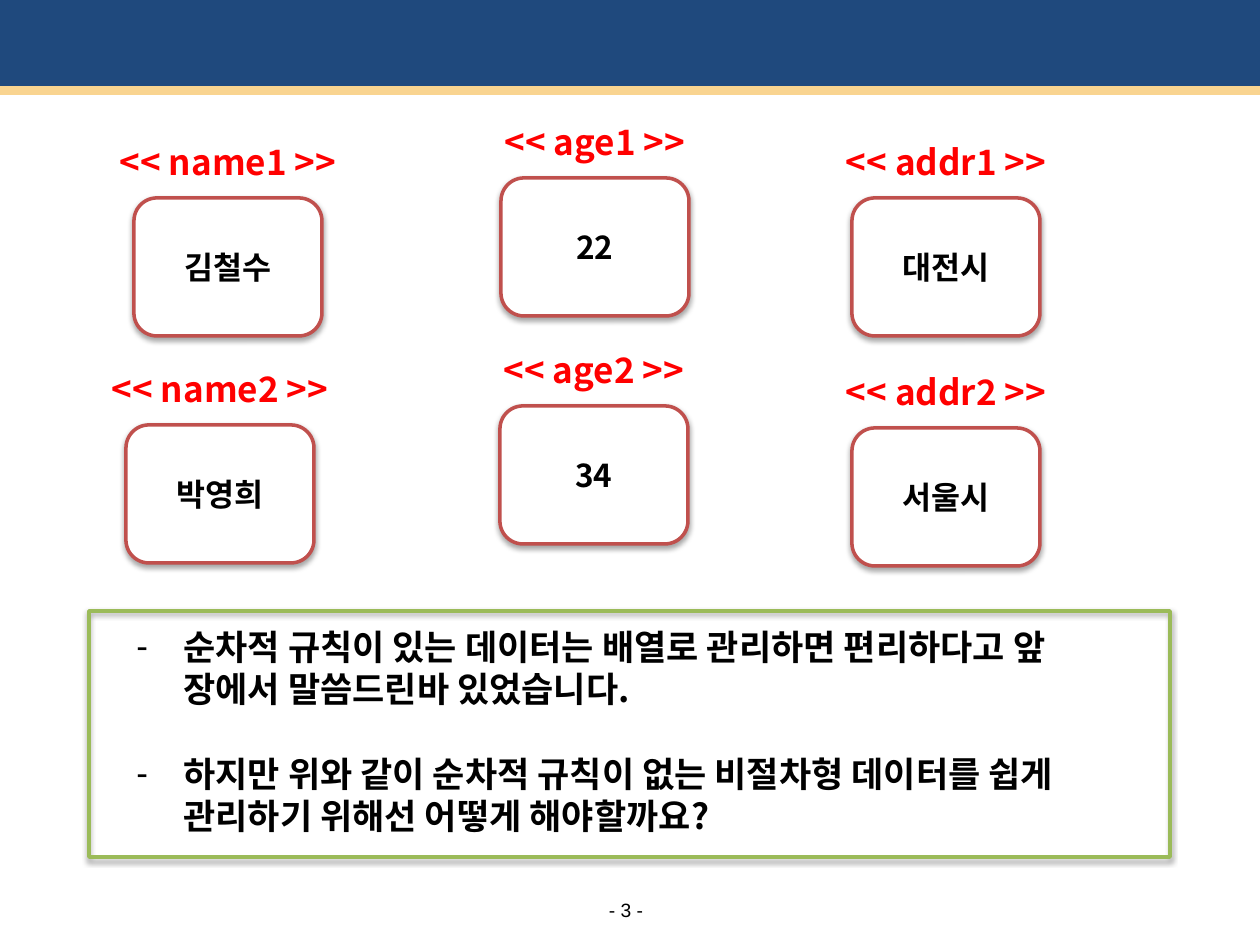
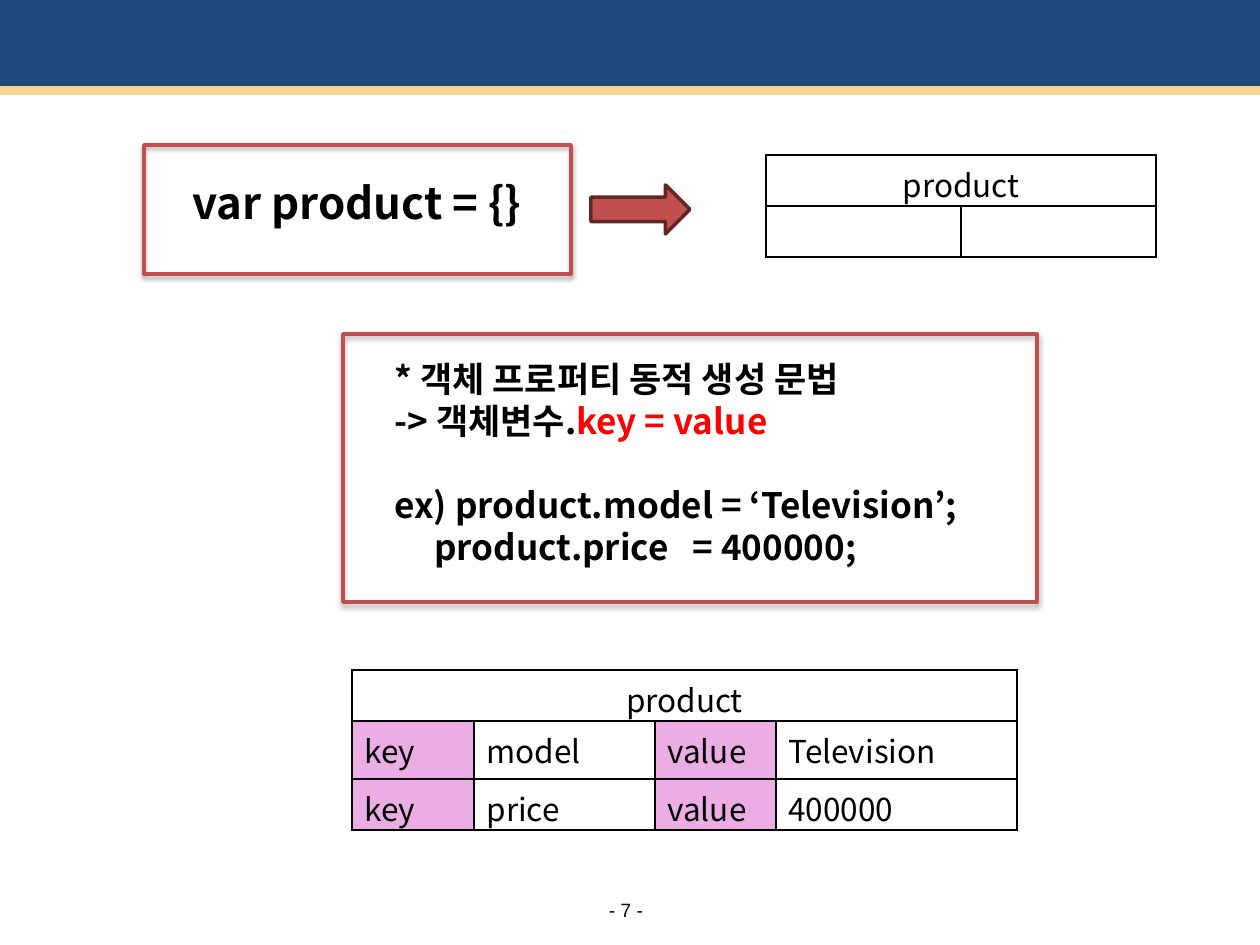
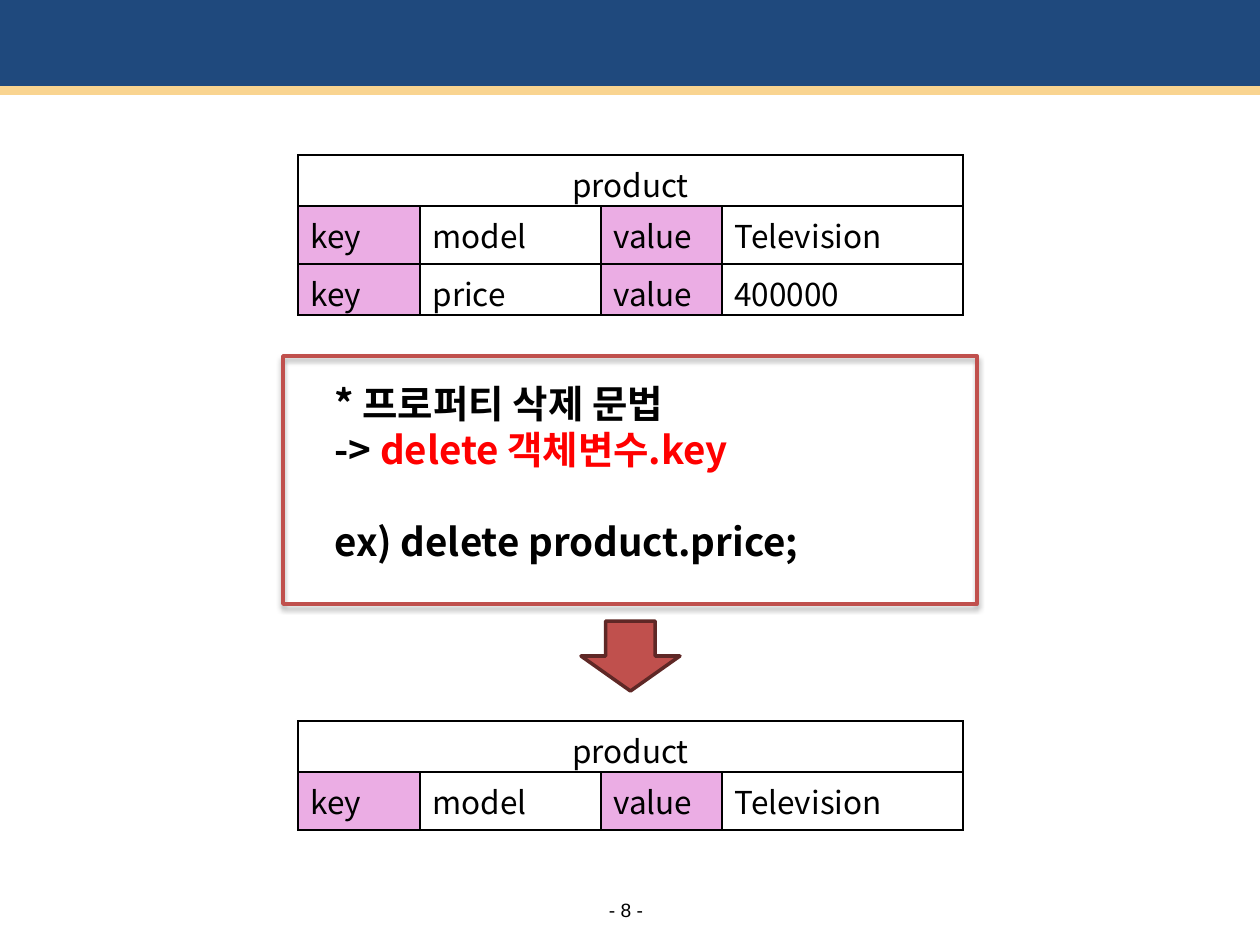
from dataclasses import dataclass

from lxml import etree
from pptx import Presentation
from pptx import util as u
from pptx.dml.color import RGBColor
from pptx.enum import shapes, text
from pptx.oxml import ns

SCALE = 914400 / 126
SHAPE = shapes.MSO_SHAPE
CENTER = text.PP_ALIGN.CENTER


@dataclass(frozen=True)
class Theme:
    navy: str = "1F497D"
    gold: str = "F9D490"
    red: str = "C0504D"
    dark_red: str = "5F2826"
    green: str = "9BBB59"
    pink: str = "EBADE4"
    white: str = "FFFFFF"
    black: str = "000000"
    accent: str = "FF0000"
    korean: str = "Noto Sans CJK KR"
    latin: str = "Arial"
    code_size: int = 25
    large_size: int = 22
    body_size: int = 20
    value_size: int = 18
    footer_size: int = 11
    line_height: float = 1.2


THEME = Theme()


def px(length):
    return u.Emu(round(length * SCALE))


def emu_box(box):
    return [px(length) for length in box]


def set_format(target, values):
    for name, value in values.items():
        setattr(target, name, value)


def add_element(parent, tag, **attributes):
    names = {name: str(value) for name, value in attributes.items()}
    return etree.SubElement(parent, ns.qn(tag), names)


def add_run(paragraph, content, size, color=THEME.black, bold=True, latin=THEME.korean):
    run = paragraph.add_run()
    run.text = content
    set_format(run.font, {"size": u.Pt(size), "bold": bold, "name": latin})
    run.font.color.rgb = RGBColor.from_string(color)
    add_element(run.font._element, "a:ea", typeface=THEME.korean)


def add_shadow(shape):
    effects = add_element(shape._element.spPr, "a:effectLst")
    shadow = add_element(effects, "a:outerShdw", blurRad=u.Pt(3.1), dist=u.Pt(1.8),
                         dir=90 * 60000, rotWithShape=0)
    color = add_element(shadow, "a:srgbClr", val=THEME.black)
    add_element(color, "a:alpha", val=35000)


def add_shape(slide, kind, box, fill=None, line=None, shadow=False):
    shape = slide.shapes.add_shape(kind, *emu_box(box))
    if fill:
        shape.fill.solid()
        shape.fill.fore_color.rgb = RGBColor.from_string(fill)
    else:
        shape.fill.background()
    if line:
        shape.line.color.rgb = RGBColor.from_string(line)
        shape.line.width = u.Pt(2)
    else:
        shape.line.fill.background()
    if shadow:
        add_shadow(shape)
    else:
        shape.shadow.inherit = False


def add_text(slide, box, paragraphs, size, align=None, bullet=False):
    """Each paragraph is (gap lines before it, [(content, colour), ...])."""
    frame = slide.shapes.add_textbox(*emu_box(box)).text_frame
    set_format(frame, {"word_wrap": True, "margin_top": px(6), "margin_bottom": px(6)})
    line_height = u.Pt(size * THEME.line_height)
    for index, (gap, runs) in enumerate(paragraphs):
        paragraph = frame.add_paragraph() if index else frame.paragraphs[0]
        set_format(paragraph, {"alignment": align, "line_spacing": line_height})
        if gap:
            paragraph.space_before = u.Pt(gap * size * THEME.line_height)
        if bullet:
            properties = paragraph._p.get_or_add_pPr()
            properties.set("marL", str(px(47)))
            properties.set("indent", str(-px(47)))
            add_element(properties, "a:buFont", typeface=THEME.latin)
            add_element(properties, "a:buChar", char="-")
        for content, color in runs:
            add_run(paragraph, content, size, color)


def add_line(slide, box, content, size, color=THEME.black):
    add_text(slide, box, [(0, [(content, color)])], size, CENTER)


def add_page(presentation, number):
    """Start a slide with its bands and page number."""
    slide = presentation.slides.add_slide(presentation.slide_layouts[6])
    add_shape(slide, SHAPE.RECTANGLE, (0, -4, 1260, 96), THEME.navy)
    add_shape(slide, SHAPE.RECTANGLE, (0, 86, 1260, 9), THEME.gold)
    frame = slide.shapes.add_textbox(*emu_box((599, 898, 54, 24))).text_frame
    set_format(frame, {"vertical_anchor": text.MSO_ANCHOR.MIDDLE, "word_wrap": False,
                       "margin_left": 0, "margin_right": 0,
                       "margin_top": 0, "margin_bottom": 0})
    frame.paragraphs[0].alignment = CENTER
    add_run(frame.paragraphs[0], f"- {number} -", THEME.footer_size, bold=False,
            latin=THEME.latin)
    return slide


def add_variable(slide, left, top, name, value):
    """A labelled card holding one variable's value."""
    add_shape(slide, SHAPE.ROUNDED_RECTANGLE, (left, top, 188, 138),
              THEME.white, THEME.red, shadow=True)
    add_line(slide, (left + 30, top + 44, 128, 50), value, THEME.value_size)
    add_line(slide, (left - 40, top - 64, 268, 55), f"<< {name} >>",
             THEME.body_size, THEME.accent)


def add_panel(slide, box, inset, paragraphs, size, line=THEME.red, **options):
    """An outlined box over text set in by (left, top, right) px."""
    left, top, width, height = box
    inner = (left + inset[0], top + inset[1], width - inset[0] - inset[2],
             height - 2 * inset[1])
    add_text(slide, inner, paragraphs, size, **options)
    add_shape(slide, SHAPE.FLOWCHART_PROCESS, box, line=line, shadow=True)


def style_cell(cell, fill):
    cell.margin_bottom = 0
    properties = cell._tc.get_or_add_tcPr()
    for side in ("a:lnL", "a:lnR", "a:lnT", "a:lnB"):
        border = add_element(properties, side, w=u.Pt(1))
        add_element(add_element(border, "a:solidFill"), "a:srgbClr", val=THEME.black)
    if fill:
        cell.fill.solid()
        cell.fill.fore_color.rgb = RGBColor.from_string(fill)
    else:
        cell.fill.background()


def add_object_table(slide, left, top, widths, rows, heights):
    """A table headed by the object's name, with its properties below."""
    box = (left, top, sum(widths), sum(heights))
    table = slide.shapes.add_table(len(heights), len(widths), *emu_box(box)).table
    set_format(table, {"first_row": False, "horz_banding": False})
    for column, width in zip(table.columns, widths):
        column.width = px(width)
    for row, height in zip(table.rows, heights):
        row.height = px(height)
    header = ["product"] + [""] * (len(widths) - 1)
    for row, contents in zip(table.rows, [header] + rows):
        for cell, content in zip(row.cells, contents):
            style_cell(cell, THEME.pink if content in ("key", "value") else None)
            if content:
                add_run(cell.text_frame.paragraphs[0], content, THEME.value_size, bold=False)
    table.cell(0, 0).merge(table.cell(0, len(widths) - 1))
    table.cell(0, 0).text_frame.paragraphs[0].alignment = CENTER


def add_property_table(slide, left, top, properties):
    rows = [["key", key, "value", value] for key, value in properties]
    add_object_table(slide, left, top, (122, 181, 121, 241), rows, (51, 58, 51)[:len(rows) + 1])


def build_object_slide(presentation):
    slide = add_page(presentation, 3)
    variables = (
        (134, 198, "name1", "김철수"), (501, 178, "age1", "22"), (852, 198, "addr1", "대전시"),
        (126, 425, "name2", "박영희"), (500, 406, "age2", "34"), (852, 428, "addr2", "서울시"),
    )
    for variable in variables:
        add_variable(slide, *variable)
    notes = (
        (0, [("순차적 규칙이 있는 데이터는 배열로 관리하면 편리하다고 앞 장에서 말씀드린바 있었습니다.",
              THEME.black)]),
        (1, [("하지만 위와 같이 순차적 규칙이 없는 비절차형 데이터를 쉽게 관리하기 위해선 어떻게 해야할까요?",
              THEME.black)]),
    )
    add_panel(slide, (89, 611, 1081, 246), (35, 9, 35), notes, THEME.body_size,
              THEME.green, bullet=True)


def build_add_slide(presentation):
    slide = add_page(presentation, 7)
    add_panel(slide, (144, 145, 427, 129), (-40, 25, -39),
              [(0, [("var product = {}", THEME.black)])], THEME.code_size, align=CENTER)
    add_shape(slide, SHAPE.RIGHT_ARROW, (591, 185, 99, 49), THEME.red, THEME.dark_red)
    add_object_table(slide, 766, 155, (195, 195), [["", ""]], (51, 51))
    syntax = (
        (0, [("* 객체 프로퍼티 동적 생성 문법", THEME.black)]),
        (0, [("-> 객체변수.", THEME.black), ("key = value", THEME.accent)]),
        (1, [("ex) product.model = ‘Television’;", THEME.black)]),
        (0, [("     product.price   = 400000;", THEME.black)]),
    )
    add_panel(slide, (343, 334, 694, 268), (39, 17, -19), syntax, THEME.body_size)
    add_property_table(slide, 352, 670, [("model", "Television"), ("price", "400000")])


def build_delete_slide(presentation):
    slide = add_page(presentation, 8)
    add_property_table(slide, 298, 155, [("model", "Television"), ("price", "400000")])
    syntax = (
        (0, [("* 프로퍼티 삭제 문법", THEME.black)]),
        (0, [("-> ", THEME.black), ("delete 객체변수.key", THEME.accent)]),
        (1, [("ex) delete product.price;", THEME.black)]),
    )
    add_panel(slide, (283, 356, 694, 248), (39, 18, -20), syntax, THEME.large_size)
    add_shape(slide, SHAPE.DOWN_ARROW, (581, 621, 99, 70), THEME.red, THEME.dark_red)
    add_property_table(slide, 298, 721, [("model", "Television")])


def main():
    presentation = Presentation()
    set_format(presentation, {"slide_width": px(1260), "slide_height": px(945)})
    for build in (build_object_slide, build_add_slide, build_delete_slide):
        build(presentation)
    presentation.save("out.pptx")


if __name__ == "__main__":
    main()
